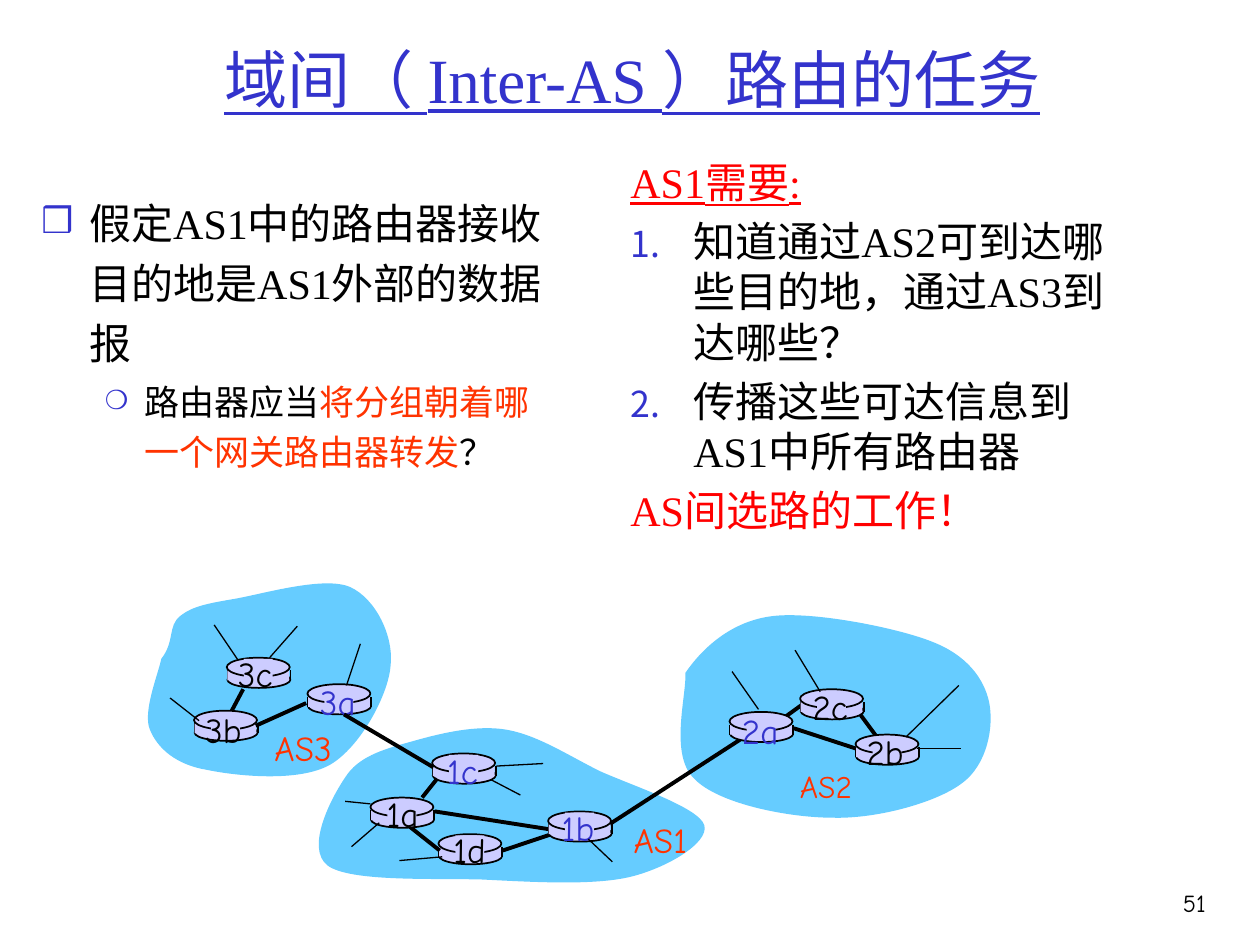
import pptx
import pptx.util
import pptx.dml.color
import pptx.enum.shapes
import pptx.enum.text
import pptx.oxml
import pptx.oxml.ns

THEME = {
    "sky": "66CCFF", "disk": "CCCCFF", "ink": "000000", "blue": "3333CC",
    "warm": "FF3300", "red": "FF0000",
    "serif": "Times New Roman", "hand": "Comic Neue",
    "title": 36, "body": 24, "sub": 20, "node": 20, "tag": 18, "page": 14,
    "edge": 1, "link": 2.25, "stub": 0.75,
}
COLS = 100

TITLE = {"box": (7.7, 0, 85, 12.5), "paras": [
    {"runs": [("域间（ Inter-AS ）路由的任务", "blue", True)], "size": "title", "align": "CENTER"}]}
LEFT = {"box": (2.3, 14.35, 41.7, 27.4), "paras": [
    {"runs": [("假定AS1中的路由器接收目的地是AS1外部的数据报", "ink", False)],
     "size": "body", "indent": (3.8, -3.8), "lines": 1.2, "before": 10, "mark": ("❒", 85)},
    {"runs": [("路由器应当", "ink", False), ("将分组朝着哪一个网关路由器转发", "warm", False),
              ("？", "ink", False)],
     "size": "sub", "indent": (8.15, -3.1), "lines": 1.2, "before": 10, "mark": ("❍", 75),
     "level": 1}]}
NEED = {"size": "body", "indent": (5, -5), "before": 20}
RIGHT = {"box": (49.05, 11.95, 41.7, 34.3), "paras": [
    {**NEED, "runs": [("AS1需要:", "red", True)]},
    {**NEED, "runs": [("知道通过AS2可到达哪些目的地，通过AS3到达哪些？", "ink", False)], "mark": ("1.", 85)},
    {**NEED, "runs": [("传播这些可达信息到AS1中所有路由器", "ink", False)], "mark": ("1.", 85)},
    {**NEED, "runs": [("AS间选路的工作！", "red", False)]}]}
PAGE = {"box": (89.3, 70, 7.4, 5), "paras": [
    {"runs": [("51", "ink", False)], "size": "page", "font": "hand", "align": "RIGHT"}]}

CLOUDS = [
    [(54.4, 53.4), (55.7, 51.5), (58, 49.3), (61.3, 48.9), (64.5, 48.5), (71.1, 49.8),
     (73.9, 50.9), (76.8, 52), (78.1, 53.9), (78.5, 55.7), (78.9, 57.6), (78.4, 60.7),
     (76.3, 62.2), (74.3, 63.7), (69.6, 65), (66.1, 64.9), (62.6, 64.9), (57, 63.8),
     (55.1, 61.8), (53.1, 59.9), (54.5, 55.2), (54.4, 53.4)],
    [(12.8, 52.3), (13.9, 50.9), (13.3, 49.7), (14.3, 48.9), (15.3, 48.1), (16.5, 47.9),
     (18.8, 47.5), (21, 47.1), (25.8, 45.7), (27.8, 46.6), (29.8, 47.5), (31.3, 50.5),
     (31, 52.9), (30.8, 55.2), (28.6, 59.3), (26.2, 60.7), (23.7, 62.1), (18.8, 61.6),
     (16.4, 61.1), (14, 60.7), (12.5, 59.4), (11.9, 57.9), (11.3, 56.5), (12.6, 53.4),
     (12.8, 52.3)],
    [(27.4, 61.7), (28.4, 60.1), (30.3, 59.5), (32.5, 58.9), (34.6, 58.3), (37.6, 57.5),
     (40.1, 57.9), (42.6, 58.3), (45, 59.9), (47.6, 61.2), (50.3, 62.4), (55.5, 64.1),
     (55.9, 65.5), (56.3, 66.9), (52.9, 68.9), (50, 69.6), (47, 70.3), (42.2, 70),
     (38.2, 69.8), (34.2, 69.7), (27.8, 70), (26, 68.7), (24.2, 67.3), (26.3, 63.3),
     (27.4, 61.7)],
]
BACK = [("3b", 15.4, 56.4, "ink", (15.3, 55.7, 5.4), (0.2, 2)),
        ("1d", 34.8, 66.2, "ink", (35, 65.3, 4.9), (0.1, 2.1)),
        ("3a", 24.4, 54.3, "blue", (24.4, 53.5, 5.1), (0.2, 1.8)),
        ("1c", 34.3, 59.8, "blue", (34.5, 59, 4.7), (0.1, 2.1))]
FRONT = [("2a", 57.9, 56.5, "blue", (57.9, 55.8, 5.1), (0.2, 1.9))]
LAST = [("1a", 29.4, 63.3, "ink", (29.7, 62.4, 4.7), (0.4, 1.5)),
        ("2c", 63.5, 54.7, "ink", (63.5, 53.9, 5.2), (0.2, 1.9)),
        ("2b", 67.9, 58.3, "ink", (67.8, 57.5, 5.4), (0.2, 1.8)),
        ("1b", 43.5, 64.4, "blue", (43.6, 63.5, 4.9), (0.1, 2.1)),
        ("3c", 18, 52.2, "ink", (17.9, 51.3, 5.1), (0.1, 2.1))]
LINKS = [(63, 57.8, 67.9, 59.4), (68.2, 56.6, 69.6, 58.5), (61.9, 57.2, 63.7, 55.9),
         (39.9, 67.5, 44.1, 66.1), (32.5, 65.6, 34.9, 67.5), (34.5, 64.4, 43.5, 65.8),
         (33.5, 63.3, 34.7, 61.8), (20.3, 57.6, 24.3, 55.8), (27.3, 56.7, 34.4, 60.9),
         (48.4, 65.4, 58.9, 58.6)]
SPUR = (19.3, 54.7, 18.4, 56.4)
STUBS = [(13.5, 55.4, 15.8, 57.2), (23.6, 49.7, 21.4, 52.2), (17, 49.6, 18.9, 52.4),
         (28.6, 51.1, 27.5, 54.4), (72.8, 59.4, 76.3, 59.4), (71.9, 58.5, 76.1, 54.4),
         (65.1, 54.9, 63.1, 51.6), (60.2, 56.3, 58.1, 53.3), (30.1, 65.3, 27.9, 67.2),
         (29.4, 63.8, 27.4, 63.6), (35.1, 68, 31.7, 68.3), (39.4, 60.8, 43.1, 60.6),
         (46.7, 66.6, 48.6, 68.4), (39, 61.9, 41.3, 63.1)]
TAGS = [("AS3", (20.8, 57.2, 7.7), "node"), ("AS1", (49.3, 64.5, 7.2), "node"),
        ("AS2", (62.5, 60.4, 7.1), "tag")]

deck = pptx.Presentation()
deck.slide_width, deck.slide_height = pptx.util.Inches(10), pptx.util.Inches(7.5)
slide = deck.slides.add_slide(deck.slide_layouts[6])
KIND = pptx.enum.shapes.MSO_SHAPE
ALIGN = pptx.enum.text.PP_ALIGN


def grid(*vals):
    return [round(v * deck.slide_width / COLS) for v in vals]


def tint(name):
    return pptx.dml.color.RGBColor.from_string(THEME[name])


def put(obj, form):
    for key, val in form.items():
        setattr(obj, key, val)


def node(tag, **atts):
    part = pptx.oxml.parse_xml("<a:%s %s/>" % (tag, pptx.oxml.ns.nsdecls("a")))
    for key, val in atts.items():
        part.set(key, str(val))
    return part


def paint(shape, fill, edge=False):
    shape.shadow.inherit = False
    shape.fill.solid()
    shape.fill.fore_color.rgb = tint(fill)
    if edge:
        shape.line.width = pptx.util.Pt(THEME["edge"])
        shape.line.color.rgb = tint("ink")
    else:
        shape.line.fill.background()


def line(ends, width):
    wire = net.add_connector(pptx.enum.shapes.MSO_CONNECTOR.STRAIGHT, *grid(*ends))
    wire.line.color.rgb = tint("ink")
    wire.line.width = pptx.util.Pt(THEME[width])
    wire._element.spPr.append(node("effectLst"))


def style(para, data):
    put(para, {"level": data.get("level", 0), "line_spacing": data.get("lines", 1.0),
               "alignment": ALIGN[data.get("align", "LEFT")]})
    props = para._p.get_or_add_pPr()
    if "indent" in data:
        for key, val in zip(("marL", "indent"), grid(*data["indent"])):
            props.set(key, str(val))
    if "before" in data:
        gap = node("spcBef")
        gap.append(node("spcPct", val=data["before"] * 1000))
        props.append(gap)
    if "mark" in data:
        sign, size = data["mark"]
        hue = node("buClr")
        hue.append(node("srgbClr", val=THEME["blue"]))
        props.append(hue)
        props.append(node("buSzPct", val=size * 1000))
        if sign == "1.":
            props.append(node("buAutoNum", type="arabicPeriod"))
        else:
            props.append(node("buFont", typeface=THEME["hand"]))
            props.append(node("buChar", char=sign))


def write(home, box, paras, wrap=True, anchor="TOP"):
    frame = home.add_textbox(*grid(*box)).text_frame
    fit = pptx.enum.text.MSO_AUTO_SIZE
    put(frame, {"word_wrap": wrap, "auto_size": fit.NONE if wrap else fit.SHAPE_TO_FIT_TEXT,
                "vertical_anchor": pptx.enum.text.MSO_ANCHOR[anchor]})
    for num, data in enumerate(paras):
        para = frame.add_paragraph() if num else frame.paragraphs[0]
        style(para, data)
        for text, hue, under in data["runs"]:
            run = para.add_run()
            run.text = text
            put(run.font, {"size": pptx.util.Pt(THEME[data["size"]]), "underline": under,
                           "name": THEME[data.get("font", "serif")]})
            run.font.color.rgb = tint(hue)


def label(text, spot, hue, size):
    high = 4 if size == "tag" else 4.3
    write(net, (*spot, high),
          [{"runs": [(text, hue, False)], "size": size, "font": "hand"}], wrap=False)


def disk(name, left, top, hue, spot, mask):
    drop, tall = mask
    parts = [(KIND.OVAL, 0.05, 1.1, 5, 1.3, True), (KIND.RECTANGLE, 0.05, 1, 4.9, 0.8, False),
             (KIND.OVAL, 0, 0, 5, 1.5, True), (KIND.RECTANGLE, 1.35, drop, 2.3, tall, False)]
    for num, (kind, dx, dy, wide, high, edge) in enumerate(parts):
        paint(net.add_shape(kind, *grid(left + dx, top + dy, wide, high)), "disk", edge)
        if num == 0:
            for side in (0.05, 5.05):
                line((left + side, top + 1, left + side, top + 1.8), "edge")
    label(name, spot, hue, "node")


def cloud(pts):
    dots = [grid(*p) for p in pts]
    form = net.build_freeform(*dots[0], scale=1.0)
    form.add_line_segments(dots[1:], close=True)
    shape = form.convert_to_shape()
    paint(shape, "sky")
    segs = shape._element.findall(".//" + pptx.oxml.ns.qn("a:lnTo"))
    for i in range(0, len(dots) - 1, 3):
        curve = node("cubicBezTo")
        segs[i].addprevious(curve)
        for seg in segs[i:i + 3]:
            curve.append(seg[0])
            seg.getparent().remove(seg)


write(slide.shapes, **PAGE)
net = slide.shapes.add_group_shape().shapes
for pts in CLOUDS:
    cloud(pts)
for item in BACK:
    disk(*item)
for ends in LINKS:
    line(ends, "link")
for item in FRONT:
    disk(*item)
for text, spot, size in TAGS:
    label(text, spot, "warm", size)
for item in LAST:
    disk(*item)
line(SPUR, "link")
for ends in STUBS:
    line(ends, "stub")
write(slide.shapes, **TITLE, anchor="MIDDLE")
write(slide.shapes, **LEFT)
write(slide.shapes, **RIGHT)
deck.save("out.pptx")
